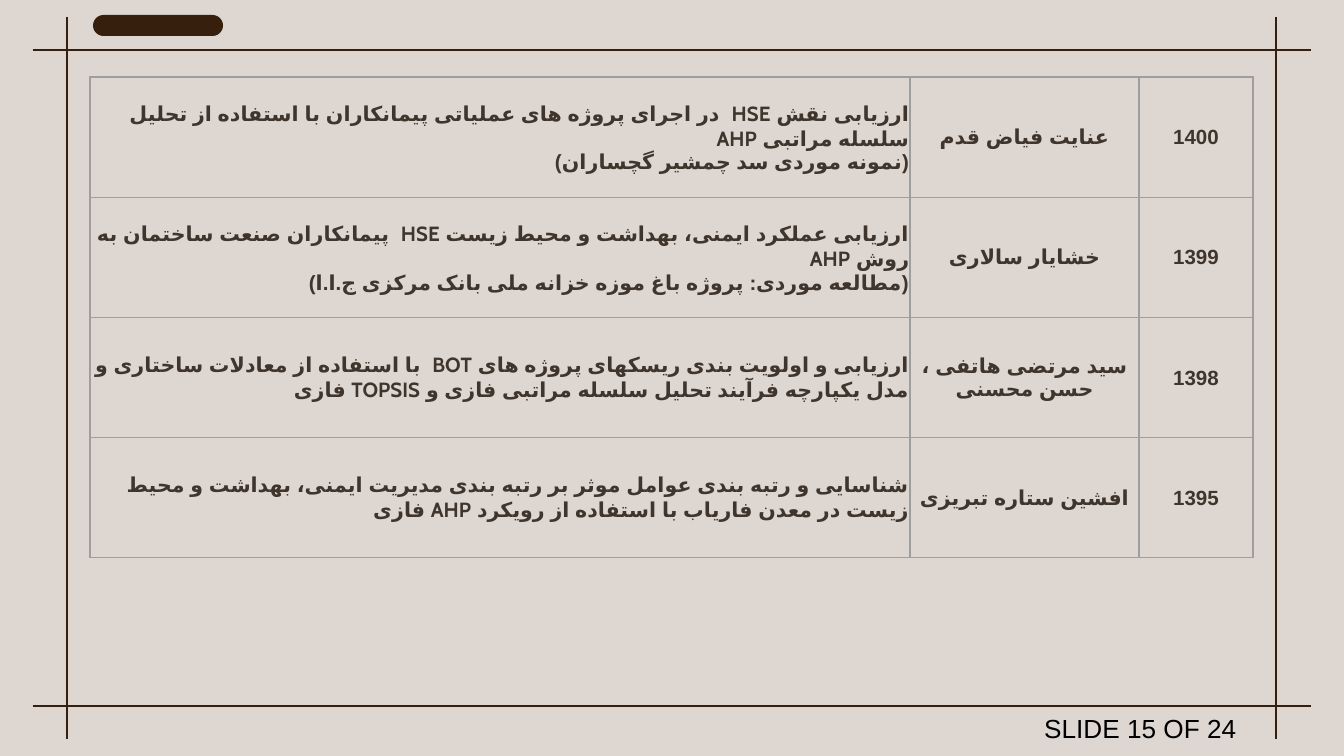
from copy import deepcopy

from lxml.etree import SubElement as Sub
from pptx import Presentation
from pptx.dml.color import RGBColor
from pptx.enum.lang import MSO_LANGUAGE_ID as Lang
from pptx.enum.shapes import MSO_CONNECTOR as Link, MSO_SHAPE as Shape
from pptx.enum.text import MSO_ANCHOR as Anchor, PP_ALIGN as Align
from pptx.oxml.ns import qn
from pptx.util import Pt

PX = 914400 / 134.4
BACK = RGBColor(0xDE, 0xD7, 0xD1)
BROWN = RGBColor(0x36, 0x1F, 0x0D)
TEXT = RGBColor(0x3F, 0x35, 0x2D)
GREY = RGBColor(0x9E, 0x9E, 0x9E)
BLACK = RGBColor(0, 0, 0)


def px(*vals):
    return [round(v * PX) for v in vals]


def style(run, color, **form):
    for key, val in form.items():
        setattr(run.font, key, val)
    run.font.color.rgb = color


deck = Presentation()
deck.slide_width, deck.slide_height = px(1344, 756)
slide = deck.slides.add_slide(deck.slide_layouts[6])
slide.background.fill.solid()
slide.background.fill.fore_color.rgb = BACK

# Frame lines
lines = [(33, y, 1311, y) for y in (50, 706)]
lines += [(x, 17, x, 739) for x in (67, 1276)]
for ends in lines:
    line = slide.shapes.add_connector(Link.STRAIGHT, *px(*ends))
    line.line.color.rgb = BROWN
    line.line.width = Pt(0.75)
    Sub(line._element.spPr, qn("a:effectLst"))

# Pill at the top
pill = slide.shapes.add_shape(Shape.ROUNDED_RECTANGLE, *px(93, 15, 130, 21))
pill.adjustments[0] = 0.5
pill.shadow.inherit = False
pill.fill.solid()
pill.fill.fore_color.rgb = BROWN
pill.line.fill.background()

# Slide number
box = slide.shapes.add_textbox(*px(1031, 706, 246, 46))
box.text_frame.word_wrap = True
run = box.text_frame.paragraphs[0].add_run()
run.text = "SLIDE 15 OF 24"
style(run, BLACK, name="Arial", size=Pt(14))

# Table of studies: title, author, year
rows = [
    ("ارزیابی نقش HSE  در اجرای پروژه های عملیاتی پیمانکاران با استفاده از تحلیل سلسله مراتبی AHP\n"
     "(نمونه موردی سد چمشیر گچساران)", "عنایت فیاض قدم", "1400"),
    ("ارزیابی عملکرد ایمنی، بهداشت و محیط زیست HSE  پیمانکاران صنعت ساختمان به روش AHP\n"
     "(مطالعه موردی: پروژه باغ موزه خزانه ملی بانک مرکزی ج.ا.ا)", "خشایار سالاری", "1399"),
    ("ارزیابی و اولویت بندی ریسکهای پروژه های BOT  با استفاده از معادلات ساختاری و "
     "مدل یکپارچه فرآیند تحلیل سلسله مراتبی فازی و TOPSIS فازی",
     "سید مرتضی هاتفی ، حسن محسنی", "1398"),
    ("شناسایی و رتبه بندی عوامل موثر بر رتبه بندی مدیریت ایمنی، بهداشت و محیط "
     "زیست در معدن فاریاب با استفاده از رویکرد AHP فازی", "افشین ستاره تبریزی", "1395"),
]
widths = (820, 229, 114)
tall = 481
frame = slide.shapes.add_table(len(rows), len(widths),
                               *px(90, 77, sum(widths), tall))
table = frame.table
table.first_row = table.horz_banding = False
for col, wide in zip(table.columns, px(*widths)):
    col.width = wide

inset = px(1)[0]
cell_form = {"vertical_anchor": Anchor.MIDDLE, "margin_left": inset,
             "margin_right": inset, "margin_top": inset, "margin_bottom": 0}
for r, row in enumerate(rows):
    table.rows[r].height = px(tall / len(rows))[0]
    for c, words in enumerate(row):
        cell = table.cell(r, c)
        for key, val in cell_form.items():
            setattr(cell, key, val)

        # Right-to-left text
        para = cell.text_frame.paragraphs[0]
        para.text = words
        para.alignment = Align.CENTER if c else Align.RIGHT
        para._p.get_or_add_pPr().set("rtl", "1")
        for run in para.runs:
            style(run, TEXT, name="Cabin", size=Pt(11), bold=True,
                  language_id=Lang.FARSI)
            Sub(run._r.rPr, qn("a:cs"), typeface="Arial")
        for gap in para._p.findall(qn("a:br")):
            gap.insert(0, deepcopy(para.runs[0]._r.rPr))

        # Borders come before the fill
        props = cell._tc.get_or_add_tcPr()
        for side in ("lnL", "lnR", "lnT", "lnB"):
            edge = Sub(props, qn("a:" + side), w=str(Pt(0.75)))
            Sub(Sub(edge, qn("a:solidFill")), qn("a:srgbClr"), val=str(GREY))
        cell.fill.background()

deck.save("out.pptx")
